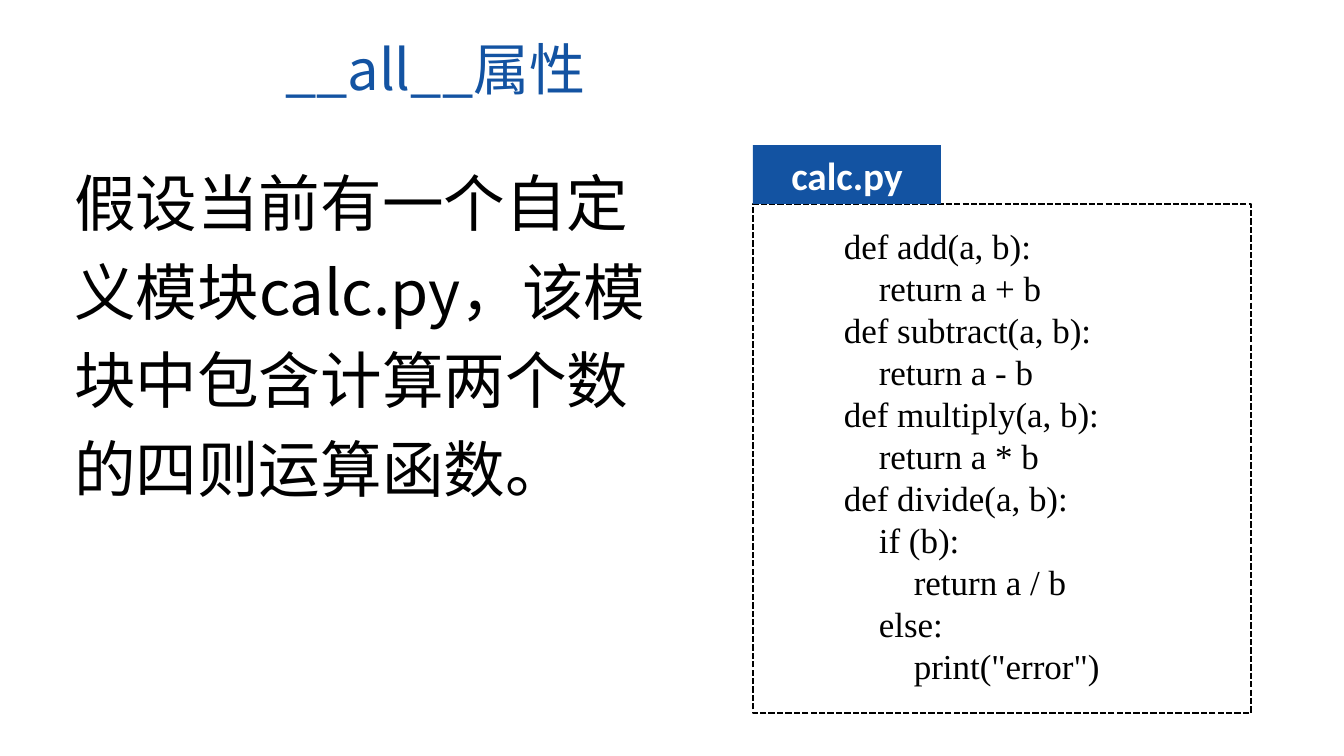
from pptx import Presentation
from pptx.dml.color import RGBColor
from pptx.enum import dml, shapes, text
from pptx.oxml import ns
from lxml import etree

HEAD = "__all__属性"
BODY = "假设当前有一个自定义模块calc.py，该模块中包含计算两个数的四则运算函数。"
FILE = "calc.py"
CODE = [
    (0, "def add(a, b):"),
    (1, "return a + b"),
    (0, "def subtract(a, b):"),
    (1, "return a - b"),
    (0, "def multiply(a, b):"),
    (1, "return a * b"),
    (0, "def divide(a, b):"),
    (1, "if (b):"),
    (2, "return a / b"),
    (1, "else:"),
    (2, 'print("error")'),
]
BLUE, BLACK, WHITE = "1353A2", "000000", "FFFFFF"
SANS = "Noto Sans CJK SC"
PX = 914400 / 100.8
STEP = 35


def emu(n):
    return round(n * PX)


def color(code):
    return RGBColor.from_string(code)


def place(shape, box):
    shape.left, shape.top, shape.width, shape.height = map(emu, box)


def write(frame, rows, face, size, ink, align=text.PP_ALIGN.LEFT, bold=False,
          space=1.0, anchor=text.MSO_ANCHOR.TOP):
    frame.word_wrap = True
    frame.auto_size = text.MSO_AUTO_SIZE.NONE
    frame.vertical_anchor = anchor
    frame.text = "\n".join(line for _, line in rows)
    for para, (level, _) in zip(frame.paragraphs, rows):
        para.alignment = align
        para.line_spacing = space
        para.space_before = 0
        font = para.font
        font.name, font.size, font.bold = face, size * 12700, bold
        font.color.rgb = color(ink)
        prop = para._p.get_or_add_pPr()
        prop.set("marL", str(emu(level * STEP)))
        prop.set("indent", "0")
        base = prop.find(ns.qn("a:defRPr"))
        etree.SubElement(base, ns.qn("a:ea"), typeface=face)
        base.addprevious(etree.Element(ns.qn("a:buNone")))


def block(box):
    shape = page.shapes.add_shape(shapes.MSO_SHAPE.RECTANGLE, *map(emu, box))
    shape.shadow.inherit = False
    return shape


deck = Presentation()
deck.slide_width, deck.slide_height = emu(1344), emu(756)
page = deck.slides.add_slide(deck.slide_layouts[1])

title, body = page.placeholders
place(title, (275, 29, 593, 78))
write(title.text_frame, [(0, HEAD)], SANS, 40, BLUE)
place(body, (64, 145, 631, 369))
write(body.text_frame, [(0, BODY)], SANS, 44, BLACK, space=1.2)

frame = block((753, 204, 498, 509))
frame.fill.background()
frame.line.color.rgb = color(BLACK)
frame.line.width = 19050
frame.line.dash_style = dml.MSO_LINE.SQUARE_DOT

code = page.shapes.add_textbox(*map(emu, (834, 220, 337, 477)))
write(code.text_frame, CODE, "Times New Roman", 25, BLACK)

tab = block((753, 145, 188, 59))
tab.fill.solid()
tab.fill.fore_color.rgb = color(BLUE)
tab.line.fill.background()
write(tab.text_frame, [(0, FILE)], "Calibri", 28, WHITE, text.PP_ALIGN.CENTER,
      bold=True, anchor=text.MSO_ANCHOR.MIDDLE)

deck.save("out.pptx")
